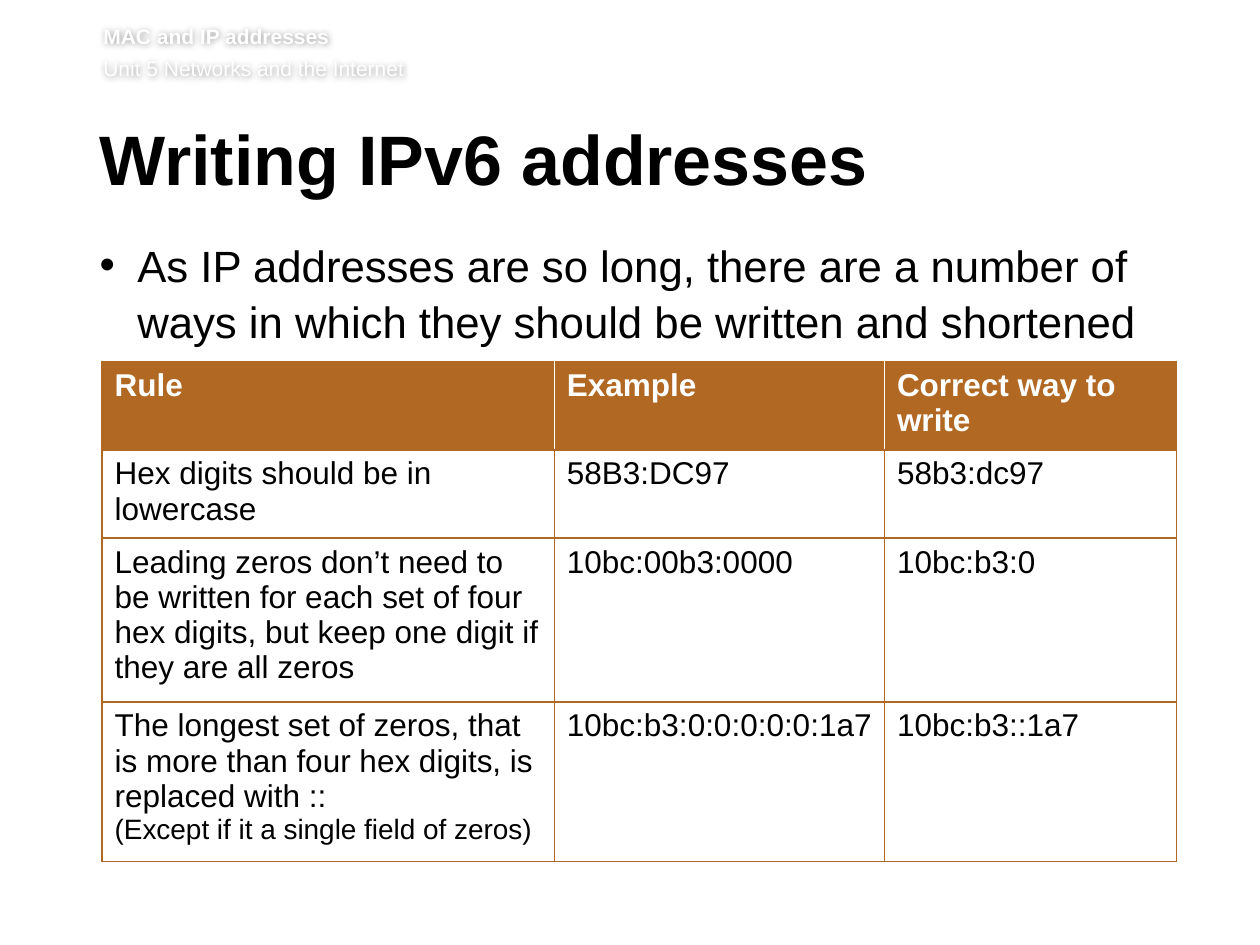
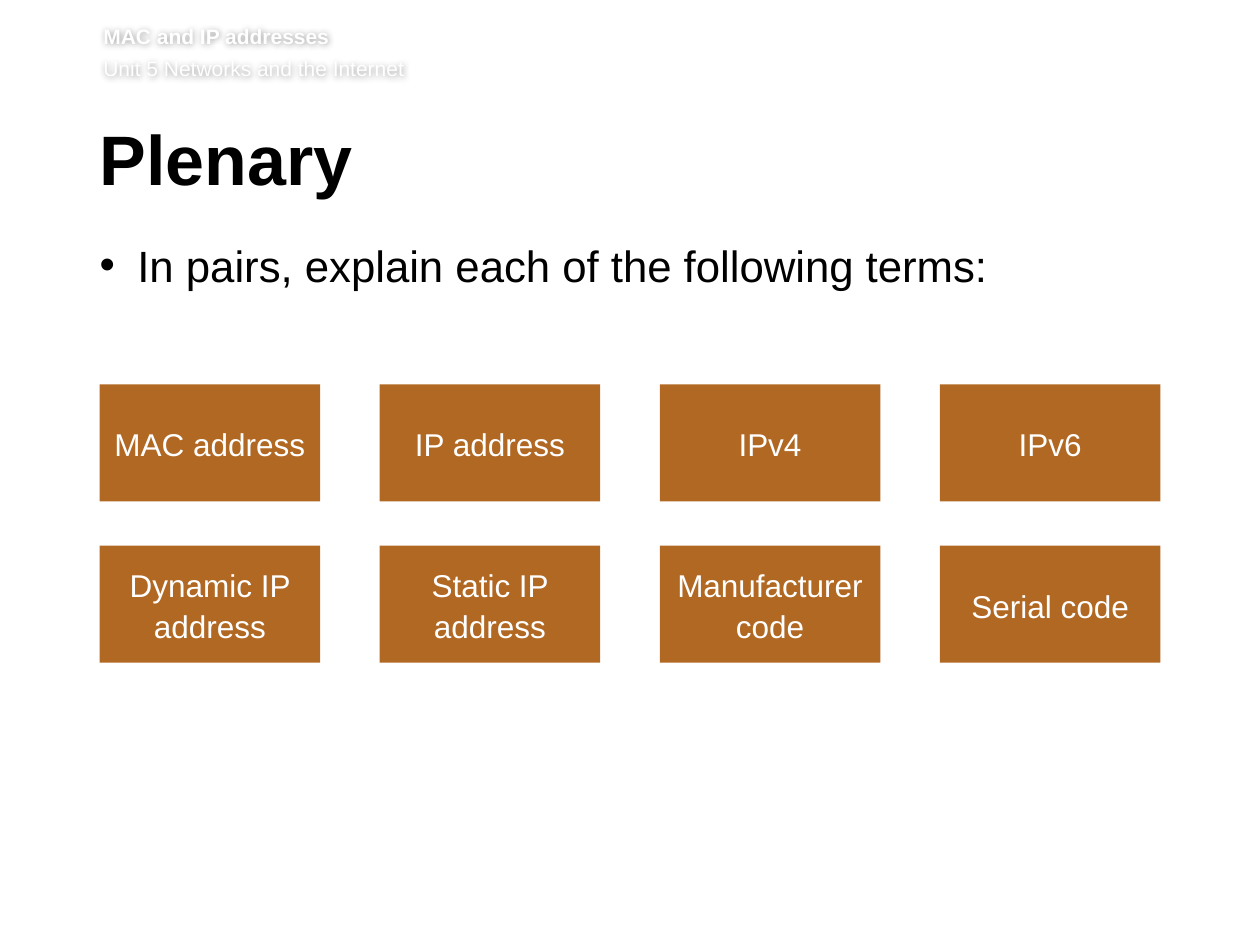
from lxml import etree
from pptx import Presentation
from pptx.dml.color import RGBColor
from pptx.enum.shapes import MSO_SHAPE
from pptx.enum.text import MSO_ANCHOR, PP_ALIGN
from pptx.oxml import parse_xml
from pptx.oxml.ns import nsdecls, qn
from pptx.util import Inches, Pt

FONT = "Arial"
BROWN = RGBColor(0xB1, 0x68, 0x23)
WHITE = RGBColor(0xFF, 0xFF, 0xFF)
BLACK = RGBColor(0x00, 0x00, 0x00)
LEFT = 0.79
LINE_SPACING = 1.08

HEADER_SHADOW = (
    f'<a:effectLst {nsdecls("a")}><a:outerShdw blurRad="50800" dist="0" dir="0" algn="ctr" '
    'rotWithShape="0"><a:srgbClr val="000000"><a:alpha val="40000"/></a:srgbClr>'
    "</a:outerShdw></a:effectLst>"
)

SLIDES = [
    ("Writing IPv6 addresses",
     "As IP addresses are so long, there are a number of ways in which they "
     "should be written and shortened", 5.05),
    ("Plenary", "In pairs, explain each of the following terms:", 5.64),
]

RULES = [
    ("Rule", "Example", "Correct way to write"),
    ("Hex digits should be in lowercase", "58B3:DC97", "58b3:dc97"),
    ("Leading zeros don’t need to be written for each set of four hex digits, "
     "but keep one digit if they are all zeros", "10bc:00b3:0000", "10bc:b3:0"),
    ("The longest set of zeros, that is more than four hex digits, is replaced with ::",
     "10bc:b3:0:0:0:0:0:1a7", "10bc:b3::1a7"),
]
COLUMN_WIDTHS = [3.59, 2.62, 2.32]
ROW_HEIGHTS = [0.66, 0.66, 1.22, 1.18]

TERMS = [
    ("MAC address", "IP address", "IPv4", "IPv6"),
    ("Dynamic IP address", "Static IP address", "Manufacturer code", "Serial code"),
]


def write(paragraph, text, size=18, color=BLACK, bold=False, spacing=None,
          before=None, after=None, align=None):
    """Add a formatted run to the paragraph and set its spacing."""
    if spacing is not None:
        paragraph.line_spacing = spacing
    if before is not None:
        paragraph.space_before = Pt(before)
    if after is not None:
        paragraph.space_after = Pt(after)
    if align is not None:
        paragraph.alignment = align
    run = paragraph.add_run()
    run.text = text
    run.font.name = FONT
    run.font.size = Pt(size)
    run.font.bold = bold
    run.font.color.rgb = color


def add_text_box(slide, left, top, width, height, inset_top=0, inset_right=0.1):
    text_box = slide.shapes.add_textbox(Inches(left), Inches(top), Inches(width), Inches(height))
    frame = text_box.text_frame
    frame.word_wrap = True
    frame.margin_left = 0
    frame.margin_top = Inches(inset_top)
    frame.margin_right = Inches(inset_right)
    frame.margin_bottom = Inches(0.05)
    return text_box


presentation = Presentation()
presentation.slide_width = Inches(10)
presentation.slide_height = Inches(7.5)

# Header, title and bullet on every slide
for title, bullet, body_height in SLIDES:
    slide = presentation.slides.add_slide(presentation.slide_layouts[6])

    header = add_text_box(slide, 0.82, 0.17, 8.82, 0.49, inset_right=0)
    header._element.spPr.append(parse_xml(HEADER_SHADOW))
    write(header.text_frame.paragraphs[0], "MAC and IP addresses", size=12, color=WHITE,
          bold=True, spacing=LINE_SPACING)
    write(header.text_frame.add_paragraph(), "Unit 5 Networks and the Internet", size=12,
          color=WHITE, spacing=LINE_SPACING, before=2.9)

    title_box = add_text_box(slide, LEFT, 0.99, 8.55, 0.73, inset_top=0.05)
    write(title_box.text_frame.paragraphs[0], title, size=40, bold=True,
          spacing=Pt(39), after=15)

    body = add_text_box(slide, LEFT, 1.86, 8.53, body_height)
    paragraph = body.text_frame.paragraphs[0]
    properties = paragraph._p.get_or_add_pPr()
    properties.set("marL", str(Inches(0.3)))
    properties.set("indent", str(-Inches(0.3)))
    etree.SubElement(properties, qn("a:buFont")).set("typeface", FONT)
    etree.SubElement(properties, qn("a:buChar")).set("char", "•")
    write(paragraph, bullet, size=25, spacing=LINE_SPACING, after=14)

rules_slide, plenary_slide = presentation.slides

# Table of rules
table = rules_slide.shapes.add_table(
    len(RULES), len(COLUMN_WIDTHS), Inches(0.81), Inches(2.87),
    Inches(sum(COLUMN_WIDTHS)), Inches(sum(ROW_HEIGHTS))).table
table.horz_banding = False
for column, width in zip(table.columns, COLUMN_WIDTHS):
    column.width = Inches(width)
for row, height in zip(table.rows, ROW_HEIGHTS):
    row.height = Inches(height)

last_column = len(COLUMN_WIDTHS) - 1
for row_index, texts in enumerate(RULES):
    is_heading = row_index == 0
    for column_index, text in enumerate(texts):
        cell = table.cell(row_index, column_index)
        write(cell.text_frame.paragraphs[0], text, bold=is_heading,
              color=WHITE if is_heading else BLACK)
        borders = {
            "lnL": WHITE if is_heading and column_index > 0 else BROWN,
            "lnR": WHITE if is_heading and column_index < last_column else BROWN,
            "lnT": BROWN,
            "lnB": BROWN,
        }
        for side, color in borders.items():
            cell._tc.get_or_add_tcPr().append(parse_xml(
                f'<a:{side} {nsdecls("a")} w="12700"><a:solidFill>'
                f'<a:srgbClr val="{color}"/></a:solidFill></a:{side}>'))
        if is_heading:
            cell.fill.solid()
            cell.fill.fore_color.rgb = BROWN
        else:
            cell.fill.background()

exception = table.cell(len(RULES) - 1, 0).text_frame.paragraphs[0]
exception.add_line_break()
write(exception, "(Except if it a single field of zeros)", size=16)

# Grid of terms
BOX_WIDTH, BOX_HEIGHT = 1.75, 0.93
COLUMN_STEP = (7.46 - LEFT) / 3
ROW_STEP = 1.28
for row_index, terms in enumerate(TERMS):
    for column_index, term in enumerate(terms):
        box = plenary_slide.shapes.add_shape(
            MSO_SHAPE.RECTANGLE,
            Inches(LEFT + column_index * COLUMN_STEP), Inches(3.05 + row_index * ROW_STEP),
            Inches(BOX_WIDTH), Inches(BOX_HEIGHT))
        box.shadow.inherit = False
        box.fill.solid()
        box.fill.fore_color.rgb = BROWN
        box.line.fill.background()
        box.text_frame.word_wrap = True
        box.text_frame.vertical_anchor = MSO_ANCHOR.MIDDLE
        write(box.text_frame.paragraphs[0], term, color=WHITE, spacing=LINE_SPACING,
              align=PP_ALIGN.CENTER)

presentation.save("out.pptx")
